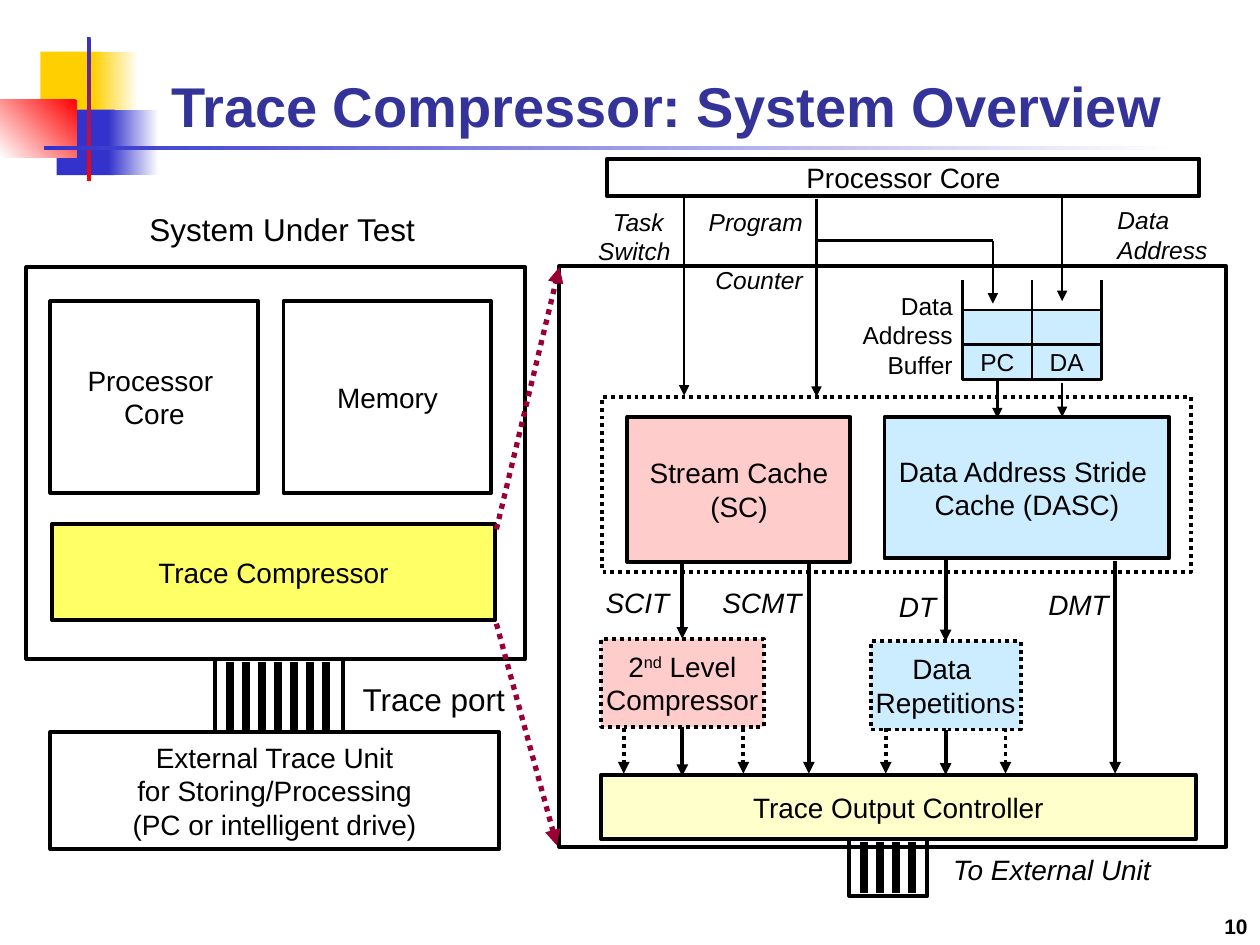
"""Build the trace compressor overview slide on a grid of 100 columns by 75 rows."""
from dataclasses import dataclass
from typing import Optional

from lxml import etree
from pptx import Presentation
from pptx import util as u
from pptx.dml.color import RGBColor
from pptx.enum import dml, shapes, text
from pptx.oxml.ns import qn


@dataclass(frozen=True)
class Theme:
    font: str = "Arial"
    ink: str = "000000"
    title: str = "333399"
    white: str = "FFFFFF"
    gold: str = "FFCF01"
    blue: str = "3333CC"
    red: str = "FF0000"
    pink: str = "FFCCCC"
    sky: str = "CCECFF"
    cream: str = "FFFFCC"
    yellow: str = "FFFF66"
    zoom: str = "990033"
    title_size: float = 32
    heading: float = 18
    body: float = 16
    small: float = 14
    number: float = 12
    thin: float = 1.5
    medium: float = 2.25
    thick: float = 3
    bar: float = 4.5


THEME = Theme()
CELL = u.Inches(0.1)
LEFT, CENTER, RIGHT = text.PP_ALIGN.LEFT, text.PP_ALIGN.CENTER, text.PP_ALIGN.RIGHT
TOP, MIDDLE, BOTTOM = text.MSO_ANCHOR.TOP, text.MSO_ANCHOR.MIDDLE, text.MSO_ANCHOR.BOTTOM
TOP_SIDE, BOTTOM_SIDE = 0, 2


@dataclass(frozen=True)
class Area:
    col: float
    row: float
    cols: float
    rows: float

    def lengths(self) -> list:
        """Return left, top, width and height in slide units."""
        return [round(part * CELL) for part in (self.col, self.row, self.cols, self.rows)]


@dataclass(frozen=True)
class Box:
    area: Area
    words: str = ""
    fill: Optional[str] = None
    dotted: bool = False
    size: float = THEME.body
    weight: float = THEME.medium


@dataclass(frozen=True)
class Label:
    area: Area
    words: str
    size: float = THEME.body
    align: text.PP_ALIGN = RIGHT
    italic: bool = True
    bold: bool = False
    anchor: text.MSO_ANCHOR = TOP
    color: str = THEME.ink
    margin: float = 1
    wrap: bool = True


@dataclass(frozen=True)
class Link:
    col: float
    row: float
    end_col: float
    end_row: float
    weight: float = THEME.medium
    dotted: bool = False
    arrow: bool = True
    color: str = THEME.ink
    begin: str = ""
    end: str = ""


@dataclass(frozen=True)
class Blend:
    area: Area
    start: str
    stop: str
    angle: float = 180


def rgb(code: str) -> RGBColor:
    """Turn a hex code into a colour."""
    return RGBColor.from_string(code)


def write(frame, words: str, size: float, align, color=THEME.ink, bold=False, italic=False) -> None:
    """Fill a frame; newline parts paragraphs, vertical tab breaks lines, carets raise text."""
    for index, line in enumerate(words.split("\n")):
        para = frame.paragraphs[0] if index == 0 else frame.add_paragraph()
        para.alignment = align
        para.font.name, para.font.size = THEME.font, u.Pt(size)
        para.font.bold, para.font.italic = bold, italic
        para.font.color.rgb = rgb(color)
        for order, piece in enumerate(line.split("^")):
            for part_index, part in enumerate(piece.split("\v")):
                if part_index:
                    para.add_line_break()
                span = para.add_run()
                span.text = part
                if order % 2:
                    span.font._element.set("baseline", "30000")


def style_line(line, weight: float, dotted: bool, color: str = THEME.ink) -> None:
    """Set the colour, width and dash of a line."""
    line.color.rgb = rgb(color)
    line.width = u.Pt(weight)
    if dotted:
        line.dash_style = dml.MSO_LINE.ROUND_DOT


def add_rectangle(page, area: Area):
    """Add a rectangle without a shadow."""
    shape = page.shapes.add_shape(shapes.MSO_SHAPE.RECTANGLE, *area.lengths())
    shape.shadow.inherit = False
    return shape


def draw_blend(page, blend: Blend) -> None:
    """Draw a borderless rectangle, solid or with a gradient."""
    shape = add_rectangle(page, blend.area)
    shape.line.fill.background()
    if blend.start == blend.stop:
        shape.fill.solid()
        shape.fill.fore_color.rgb = rgb(blend.start)
        return
    shape.fill.gradient()
    shape.fill.gradient_angle = blend.angle
    for stop, color in zip(shape.fill.gradient_stops, (blend.start, blend.stop)):
        stop.color.rgb = rgb(color)


def draw_box(page, box: Box):
    """Draw an outlined box with centred text."""
    shape = add_rectangle(page, box.area)
    if box.fill:
        shape.fill.solid()
        shape.fill.fore_color.rgb = rgb(box.fill)
    else:
        shape.fill.background()
    style_line(shape.line, box.weight, box.dotted)
    if box.words:
        shape.text_frame.word_wrap = False
        shape.text_frame.vertical_anchor = MIDDLE
        write(shape.text_frame, box.words, box.size, CENTER)
    return shape


def draw_label(page, label: Label) -> None:
    """Draw free text."""
    frame = page.shapes.add_textbox(*label.area.lengths()).text_frame
    frame.word_wrap, frame.vertical_anchor = label.wrap, label.anchor
    frame.margin_left = frame.margin_right = round(label.margin * CELL)
    frame.margin_top = frame.margin_bottom = round(label.margin * CELL / 2)
    write(frame, label.words, label.size, label.align, label.color, label.bold, label.italic)


def draw_link(page, link: Link, drawn: dict) -> None:
    """Draw a line or arrow, joined to named boxes where given."""
    ends = [round(part * CELL) for part in (link.col, link.row, link.end_col, link.end_row)]
    connector = page.shapes.add_connector(shapes.MSO_CONNECTOR.STRAIGHT, *ends)
    style_line(connector.line, link.weight, link.dotted, link.color)
    if link.arrow:
        etree.SubElement(connector.line._get_or_add_ln(), qn("a:tailEnd"), type="triangle")
    etree.SubElement(connector._element.spPr, qn("a:effectLst"))
    if link.begin:
        connector.begin_connect(drawn[link.begin], BOTTOM_SIDE)
    if link.end:
        connector.end_connect(drawn[link.end], TOP_SIDE)


def draw_port(page, area: Area, bars: int) -> None:
    """Draw a port as a box with evenly spaced thick bars."""
    draw_box(page, Box(area))
    for index in range(bars):
        col = area.col + 1.15 + 1.27 * index
        draw_link(page, Link(col, area.row + 0.2, col, area.row + area.rows - 0.2, THEME.bar, arrow=False), {})


T = THEME
BLENDS = [
    Blend(Area(3.2, 4.1, 4.8, 5.2), T.gold, T.gold), Blend(Area(7.4, 4.1, 3.6, 5.2), T.white, T.gold),
    Blend(Area(4.5, 8.7, 4.6, 5.2), T.blue, T.blue), Blend(Area(8.6, 8.7, 4, 5.2), T.white, T.blue),
    Blend(Area(0, 7.9, 6.1, 4.6), T.red, T.white, 225), Blend(Area(6.9, 2.9, 0.3, 11.5), T.blue, T.red, 270),
    Blend(Area(3.5, 11.6, 90, 0.3), T.white, T.blue),
]
BUFFER = Area(76.4, 24.6, 5.5, 2.75)
BOXES = {
    "caches": Box(Area(47.8, 31.5, 46.7, 13.9), dotted=True),
    "stream": Box(Area(49.8, 33.1, 17.7, 11.5), "Stream Cache\v(SC)", T.pink),
    "stride": Box(Area(70.2, 33.1, 22.6, 11.2), "Data Address Stride \vCache (DASC)", T.sky),
    "second level": Box(Area(47.7, 50.7, 12.9, 7), "2^nd^ Level\vCompressor", T.pink, True),
    "core": Box(Area(48.2, 12.6, 47, 3), "Processor Core"),
    "compressor": Box(Area(44.4, 21.1, 52.9, 46.1)),
    "output": Box(Area(47.7, 61.5, 47.2, 5.1), "Trace Output Controller", T.cream),
    "repetitions": Box(Area(69.1, 50.9, 11.9, 7), "Data \vRepetitions", T.sky, True),
    "system": Box(Area(2.1, 21.2, 39.6, 31.1)),
    "system core": Box(Area(4, 23.9, 16.5, 15.2), "Processor \vCore"),
    "memory": Box(Area(22.5, 23.9, 16.5, 15.2), "Memory"),
    "trace": Box(Area(4.1, 41.6, 35.2, 7.6), "Trace Compressor", fill=T.yellow),
    "external": Box(Area(4, 58.1, 35.6, 9.3),
                    "External Trace Unit\vfor Storing/Processing\n(PC or intelligent drive)"),
}
for column, rows in enumerate((("", "PC"), ("", "DA"))):
    for row, name in enumerate(rows):
        cell = Area(BUFFER.col + column * BUFFER.cols, BUFFER.row + row * BUFFER.rows, BUFFER.cols, BUFFER.rows)
        BOXES[name or f"slot {column}"] = Box(cell, name, T.sky, size=T.small, weight=T.thin)

LINKS = [
    Link(54.15, 44.6, 54.15, 50.7, end="second level"), Link(64.2, 44.7, 64.2, 61.4),
    Link(75.05, 44.3, 75.05, 50.9, end="repetitions"), Link(88.5, 44.5, 88.5, 61.4),
    Link(54.15, 57.7, 54.15, 61.6, begin="second level"), Link(75.05, 57.9, 75.05, 61.5, begin="repetitions"),
    Link(54.3, 15.7, 54.3, 31.4, T.thin), Link(64.8, 15.8, 64.8, 31.5, T.thin),
    Link(84.3, 15.7, 84.3, 23.9, T.thin), Link(84.3, 30.4, 84.3, 33.1, T.thin),
    Link(64.9, 19.1, 78.8, 19.1, T.thin, arrow=False), Link(78.8, 19.1, 78.8, 24.1, T.thin),
    Link(79.15, 30.1, 79.15, 33.2, T.thin, begin="PC"),
    Link(39.4, 42, 44.4, 21.2, T.thick, True, color=T.zoom),
    Link(39.4, 49.5, 44.2, 67.1, T.thick, True, color=T.zoom),
]
LINKS += [Link(col, 57.8, col, 61.4, dotted=True) for col in (49.5, 59, 70.3, 79.8)]
LINKS += [Link(BUFFER.col + step * BUFFER.cols, BUFFER.row, BUFFER.col + step * BUFFER.cols, BUFFER.row - 2.4,
               T.thin, arrow=False) for step in range(3)]
LABELS = [
    Label(Area(12.6, 1.7, 85.2, 9.8), "Trace Compressor: System Overview", T.title_size, LEFT, False, True,
          BOTTOM, T.title),
    Label(Area(45.9, 46.5, 7.2, 2.7), "SCIT", margin=0), Label(Area(54.7, 46.5, 8.9, 2.7), "SCMT", margin=0),
    Label(Area(69.3, 46.8, 5, 2.7), "DT", margin=0), Label(Area(79.1, 46.6, 8.9, 2.7), "DMT", margin=0),
    Label(Area(55.2, 15.9, 9.5, 8), "Program \vCounter", T.small),
    Label(Area(87.7, 15.8, 9.5, 5.7), "Data Address", T.small, LEFT),
    Label(Area(45, 15.9, 9.2, 5.7), "Task \vSwitch", T.small),
    Label(Area(66, 22.6, 10.6, 8), "Data Address\vBuffer", T.small, italic=False),
    Label(Area(74, 67.4, 19, 3.2), "To External Unit", align=CENTER, anchor=MIDDLE, wrap=False),
    Label(Area(6.2, 16.2, 32.4, 4), "System Under Test", T.heading, CENTER, False),
    Label(Area(27.8, 53.5, 14.2, 4), "Trace port", T.heading, LEFT, False),
    Label(Area(79.2, 70, 20.8, 5), "10", T.number, RIGHT, False, True, BOTTOM),
]


def main() -> None:
    """Draw the slide and save the deck."""
    deck = Presentation()
    deck.slide_width, deck.slide_height = 100 * CELL, 75 * CELL
    page = deck.slides.add_slide(deck.slide_layouts[6])
    for blend in BLENDS:
        draw_blend(page, blend)
    drawn = {name: draw_box(page, box) for name, box in BOXES.items()}
    draw_port(page, Area(67.4, 66.6, 6.2, 4.5), 4)
    draw_port(page, Area(17.1, 52.3, 10.1, 5.8), 7)
    for link in LINKS:
        draw_link(page, link, drawn)
    for label in LABELS:
        draw_label(page, label)
    deck.save("out.pptx")


if __name__ == "__main__":
    main()
